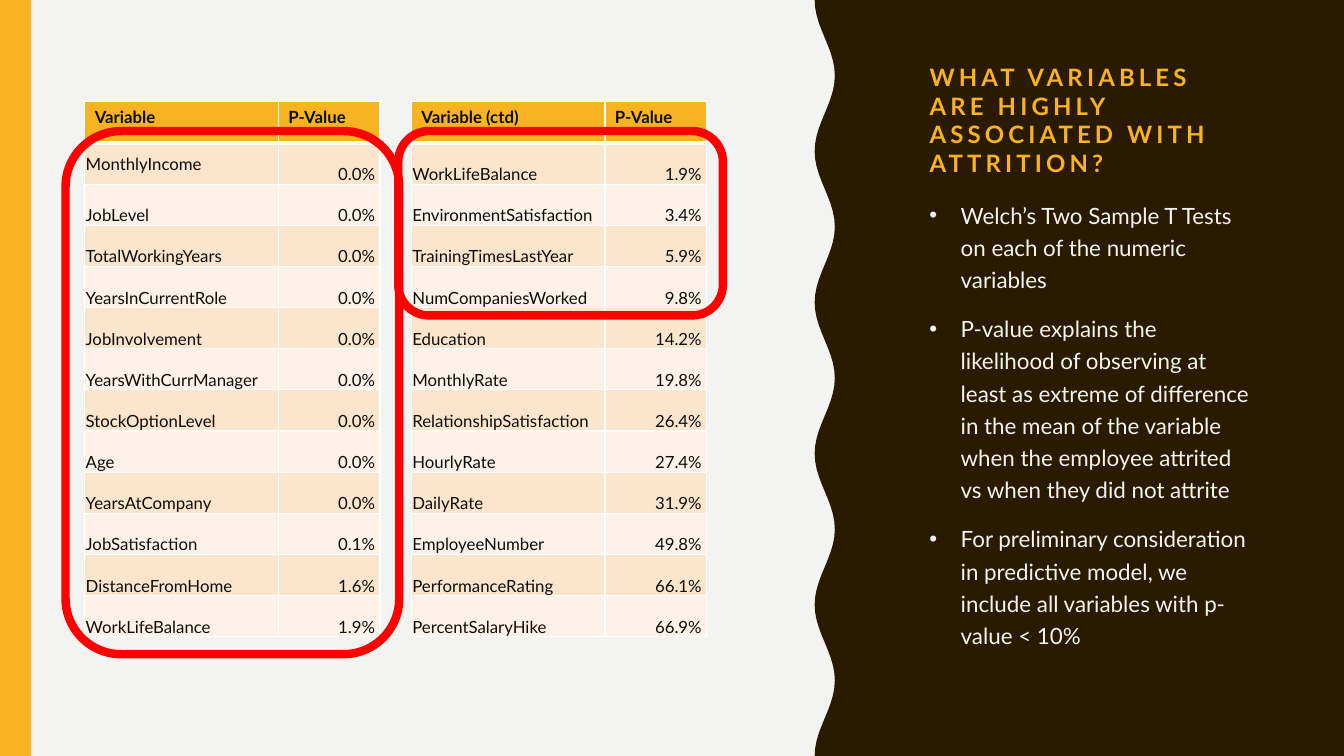
from math import cos, pi
from pptx import Presentation
from pptx.dml.color import RGBColor
from pptx.enum.shapes import MSO_SHAPE as Preset
from pptx.enum.text import MSO_ANCHOR as Anchor, MSO_AUTO_SIZE as AutoSize, PP_ALIGN as Align
from pptx.oxml import parse_xml
from pptx.oxml.ns import nsdecls
from pptx.util import Inches, Pt

GOLD, BROWN, PALE, INK, RED, WHITE = "F8B323", "2A1A00", "F3F3F2", "0D0D0D", "FF0000", "FFFFFF"
BANDS = ["FCE5CD", "FEF2E8"]
ROW_HEIGHT = 5.31 / 13

TITLE = "WHAT VARIABLES ARE HIGHLY ASSOCIATED WITH ATTRITION?"
POINTS = [
    "Welch’s Two Sample T Tests on each of the numeric variables",
    "P-value explains the likelihood of observing at least as extreme of difference in the mean "
    "of the variable when the employee attrited vs when they did not attrite",
    "For preliminary consideration in predictive model, we include all variables with p-value < 10%",
]
STRONGEST = [
    ("MonthlyIncome", 0.0), ("JobLevel", 0.0), ("TotalWorkingYears", 0.0),
    ("YearsInCurrentRole", 0.0), ("JobInvolvement", 0.0), ("YearsWithCurrManager", 0.0),
    ("StockOptionLevel", 0.0), ("Age", 0.0), ("YearsAtCompany", 0.0),
    ("JobSatisfaction", 0.1), ("DistanceFromHome", 1.6), ("WorkLifeBalance", 1.9),
]
REMAINING = [
    ("WorkLifeBalance", 1.9), ("EnvironmentSatisfaction", 3.4), ("TrainingTimesLastYear", 5.9),
    ("NumCompaniesWorked", 9.8), ("Education", 14.2), ("MonthlyRate", 19.8),
    ("RelationshipSatisfaction", 26.4), ("HourlyRate", 27.4), ("DailyRate", 31.9),
    ("EmployeeNumber", 49.8), ("PerformanceRating", 66.1), ("PercentSalaryHike", 66.9),
]


def paint(target, color):
    target.solid()
    target.fore_color.rgb = RGBColor.from_string(color)


def write(para, text, size=12, color=INK, bold=False, align=Align.LEFT, spacing=None):
    para.alignment = align
    span = para.add_run()
    span.text = text
    span.font.name = "Lato"
    span.font.size = Pt(size)
    span.font.bold = bold
    paint(span.font.fill, color)
    if spacing:
        span.font._element.set("spc", str(spacing * 100))


def place(shape, left, top, width, height):
    shape.left, shape.top = Inches(left), Inches(top)
    shape.width, shape.height = Inches(width), Inches(height)


def add_bullet(para, color):
    properties = para._p.get_or_add_pPr()
    properties.set("marL", str(Inches(0.31)))
    properties.set("indent", str(-Inches(0.31)))
    for markup in (f'<a:buClr {nsdecls("a")}><a:srgbClr val="{color}"/></a:buClr>',
                   f'<a:buFont {nsdecls("a")} typeface="Arial"/>',
                   f'<a:buChar {nsdecls("a")} char="•"/>'):
        properties.append(parse_xml(markup))


def add_borders(cell, bottom=1):
    properties = cell._tc.get_or_add_tcPr()
    widths = {"lnL": 1, "lnR": 1, "lnT": 1, "lnB": bottom}
    for index, (side, width) in enumerate(widths.items()):
        properties.insert(index, parse_xml(
            f'<a:{side} {nsdecls("a")} w="{Pt(width)}"><a:solidFill>'
            f'<a:srgbClr val="{WHITE}"/></a:solidFill></a:{side}>'))


def add_gold_strip(page, left, top, width, height):
    strip = page.shapes.add_shape(
        Preset.RECTANGLE, Inches(left), Inches(top), Inches(width), Inches(height))
    strip.shadow.inherit = False
    paint(strip.fill, GOLD)
    strip.line.fill.background()


def add_wavy_panel(page, left, top, width, height):
    waves, steps, depth = 5, 100, 0.1
    edge = [(left + depth * (1 - cos(2 * pi * waves * step / steps)), top + height * step / steps)
            for step in range(steps, -1, -1)]
    corners = [(left + width, top), (left + width, top + height)]
    points = [(Inches(x), Inches(y)) for x, y in corners + edge]
    builder = page.shapes.build_freeform(*points[0], scale=1.0)
    builder.add_line_segments(points[1:], close=True)
    panel = builder.convert_to_shape()
    panel.shadow.inherit = False
    paint(panel.fill, BROWN)
    panel.line.fill.background()
    return panel


def add_message(page, panel, left, top, width, height):
    title = page.shapes.title
    panel._element.addnext(title._element)
    place(title, left, top, width, 1.31)
    frame = title.text_frame
    frame.word_wrap = True
    frame.auto_size = AutoSize.NONE
    frame.vertical_anchor = Anchor.BOTTOM
    write(frame.paragraphs[0], TITLE, size=17.1, color=GOLD, bold=True, spacing=3)

    body = page.shapes.add_textbox(
        Inches(left), Inches(top + 1.4), Inches(width), Inches(height - 1.4))
    frame = body.text_frame
    frame.word_wrap = True
    for index, point in enumerate(POINTS):
        para = frame.add_paragraph() if index else frame.paragraphs[0]
        para.line_spacing = 1.2
        para.space_before = Pt(12)
        write(para, point, size=16, color=PALE)
        add_bullet(para, PALE)


def add_value_table(page, heading, records, left, top):
    table = page.shapes.add_table(
        len(records) + 1, 2, Inches(left), Inches(top), Inches(2.93),
        Inches(ROW_HEIGHT * (len(records) + 1))).table
    for column, width in zip(table.columns, (1.92, 1.01)):
        column.width = Inches(width)
    for row in table.rows:
        row.height = Inches(ROW_HEIGHT)
    for column, label in enumerate((heading, "P-Value")):
        cell = table.cell(0, column)
        write(cell.text_frame.paragraphs[0], label, bold=True)
        paint(cell.fill, GOLD)
        add_borders(cell, bottom=3)
    for row, (name, value) in enumerate(records, 1):
        for column, text in enumerate((name, f"{value:.1f}%")):
            cell = table.cell(row, column)
            cell.margin_left = cell.margin_top = Inches(0.01)
            cell.margin_right = Inches(0.05 if column else 0.01)
            cell.margin_bottom = 0
            cell.vertical_anchor = Anchor.MIDDLE if name == "MonthlyIncome" and not column else Anchor.BOTTOM
            write(cell.text_frame.paragraphs[0], text, align=Align.RIGHT if column else Align.LEFT)
            paint(cell.fill, BANDS[(row - 1) % 2])
            add_borders(cell, bottom=1)


def add_highlight(page, left, top, width, height):
    ring = page.shapes.add_shape(
        Preset.ROUNDED_RECTANGLE, Inches(left), Inches(top), Inches(width), Inches(height))
    ring.shadow.inherit = False
    ring.fill.background()
    paint(ring.line.fill, RED)
    ring.line.width = Pt(6)


deck = Presentation()
deck.slide_width, deck.slide_height = Inches(13.33), Inches(7.5)
page = deck.slides.add_slide(deck.slide_layouts[5])
paint(page.background.fill, PALE)
wavy_panel = add_wavy_panel(page, 8.08, 0, 5.25, 7.5)
add_gold_strip(page, 0, 0, 0.31, 7.5)
add_message(page, wavy_panel, 9.12, 0.5, 3.38, 5.95)
add_value_table(page, "Variable", STRONGEST, 0.84, 1.01)
add_value_table(page, "Variable (ctd)", REMAINING, 4.08, 1.01)
add_highlight(page, 0.65, 1.3, 3.31, 5.19)
add_highlight(page, 3.95, 1.3, 3.22, 1.83)
deck.save("out.pptx")
